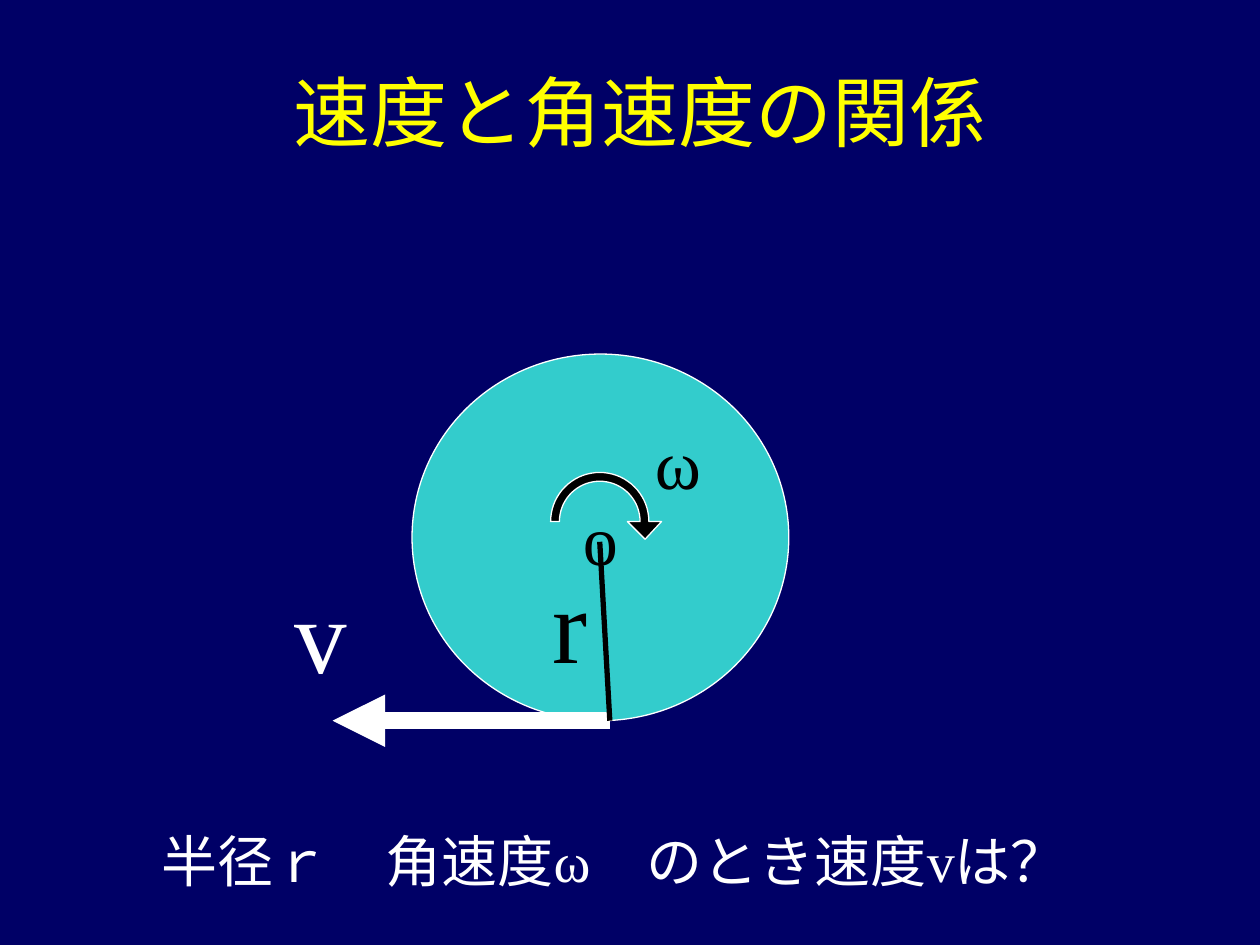
from math import cos, pi, sin

from lxml.etree import SubElement
from pptx import Presentation
from pptx.dml.color import RGBColor
from pptx.enum.shapes import MSO_CONNECTOR, MSO_SHAPE
from pptx.enum.text import MSO_ANCHOR, PP_ALIGN
from pptx.oxml.ns import qn
from pptx.util import Inches, Pt

NAVY = RGBColor(0x00, 0x00, 0x66)
YELLOW = RGBColor(0xFF, 0xFF, 0x00)
TEAL = RGBColor(0x33, 0xCC, 0xCC)
WHITE = RGBColor(0xFF, 0xFF, 0xFF)
BLACK = RGBColor(0x00, 0x00, 0x00)
FONT = "Times New Roman"

# Content: text, box (left, top, width, height), size, colour
TITLE = ("速度と角速度の関係", (0.83, 0.25, 8.5, 1.25), 44, YELLOW)
LABELS = [
    ("v", (2.24, 4.46, 0.61, 1.1), 60, WHITE),
    ("r", (4.29, 4.38, 0.48, 1.1), 60, BLACK),
    ("ω", (5.1, 3.28, 0.56, 0.77), 40, BLACK),
    ("半径ｒ　角速度ω　のとき速度vは？", (1.18, 6.51, 7.81, 0.64), 32, WHITE),
]
DISC = ("o", (3.27, 2.81, 2.99, 2.91), 40, BLACK)

# Geometry: rim point, vector tip, hub, and the turning arrow
RIM, TIP, HUB = (4.84, 5.72), (2.64, 5.72), (4.76, 4.3)
MID, OUTER, INNER = (4.76, 4.14), 0.39, 0.32
HEAD = [(5.25, 4.14), (5.12, 4.28), (4.98, 4.14)]
STEPS = 36


def write(shape, text, size, color, align=PP_ALIGN.LEFT,
          anchor=MSO_ANCHOR.TOP, wrap=False):
    frame = shape.text_frame
    frame.word_wrap = wrap
    frame.vertical_anchor = anchor
    para = frame.paragraphs[0]
    para.alignment = align
    run = para.add_run()
    run.text = text
    for key, value in {"name": FONT, "size": Pt(size)}.items():
        setattr(run.font, key, value)
    run.font.color.rgb = color


def paint(shape, color):
    shape.shadow.inherit = False
    shape.fill.solid()
    shape.fill.fore_color.rgb = color
    shape.line.color.rgb = WHITE
    shape.line.width = Pt(0.75)


def add_label(slide, text, box, size, color, **form):
    shape = slide.shapes.add_textbox(*map(Inches, box))
    write(shape, text, size, color, **form)


def add_line(slide, start, end, color, width, head=False):
    line = slide.shapes.add_connector(
        MSO_CONNECTOR.STRAIGHT, *map(Inches, start + end))
    line.line.color.rgb = color
    line.line.width = Pt(width)
    if head:
        SubElement(line.line._get_or_add_ln(), qn("a:tailEnd"), type="triangle")
    SubElement(line._element.spPr, qn("a:effectLst"))


def arc(radius):
    """Points of the upper half circle, from left to right."""
    angles = [pi * (1 - i / STEPS) for i in range(STEPS + 1)]
    return [(MID[0] + radius * cos(a), MID[1] - radius * sin(a))
            for a in angles]


def add_turn(slide):
    outline = arc(INNER)[::-1] + arc(OUTER) + HEAD
    points = [(Inches(x), Inches(y)) for x, y in outline]
    pen = slide.shapes.build_freeform(*points[0])
    pen.add_line_segments(points[1:], close=True)
    paint(pen.convert_to_shape(), BLACK)


def main():
    deck = Presentation()
    deck.slide_width, deck.slide_height = Inches(10), Inches(7.5)
    slide = deck.slides.add_slide(deck.slide_layouts[6])
    slide.background.fill.solid()
    slide.background.fill.fore_color.rgb = NAVY

    middle = {"align": PP_ALIGN.CENTER, "anchor": MSO_ANCHOR.MIDDLE}
    add_label(slide, *TITLE, wrap=True, **middle)

    # Disc with its hub letter
    text, box, size, color = DISC
    disc = slide.shapes.add_shape(MSO_SHAPE.OVAL, *map(Inches, box))
    paint(disc, TEAL)
    write(disc, text, size, color, **middle)

    # Velocity vector, radius and turning arrow
    add_line(slide, RIM, TIP, WHITE, 10, head=True)
    add_line(slide, HUB, RIM, BLACK, 3)
    add_turn(slide)

    for label in LABELS:
        add_label(slide, *label)
    deck.save("out.pptx")


if __name__ == "__main__":
    main()
